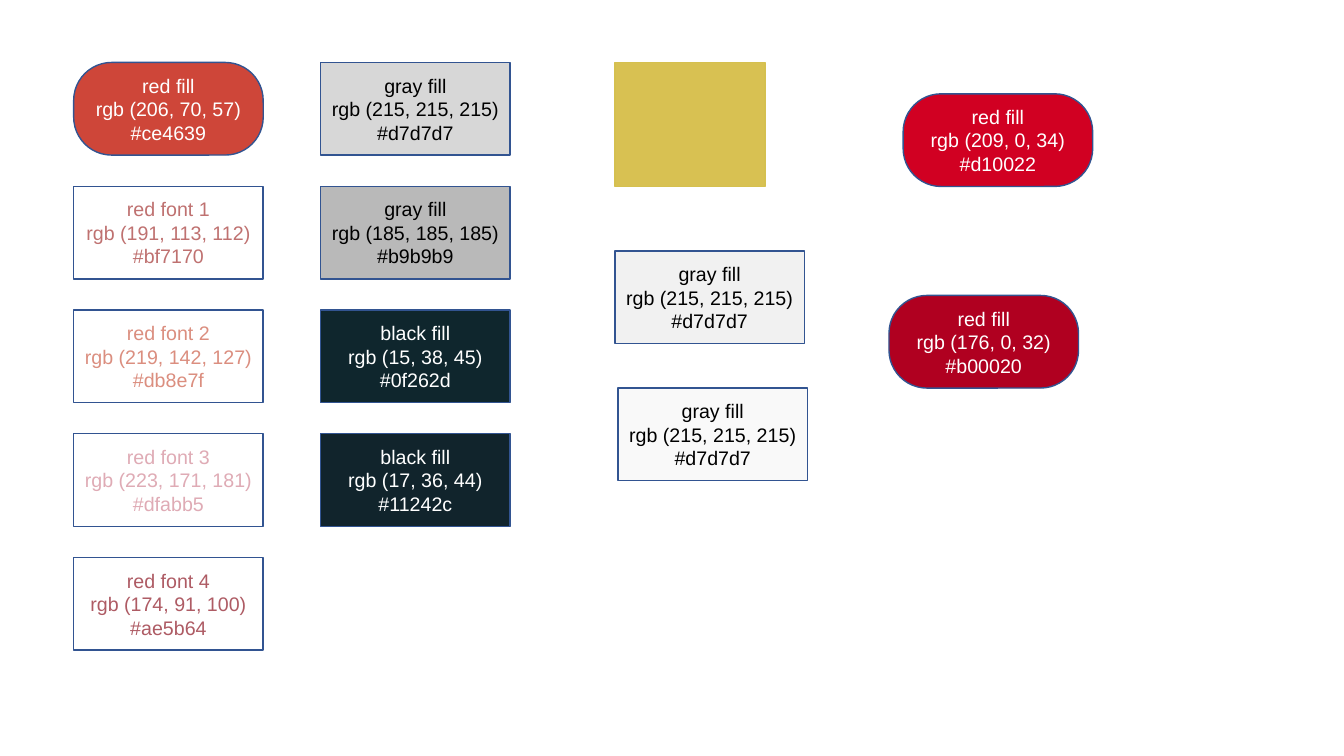
"""Builds a slide of labelled colour swatches."""
from dataclasses import dataclass

from pptx import Presentation
from pptx.dml.color import RGBColor
from pptx.enum import shapes, text
from pptx.util import Pt

COLORS = {
    "white": "FFFFFF",
    "black": "000000",
    "outline": "325491",
    "yellow": "D8C152",
    "yellow outline": "D5C04F",
    "pale gray": "F1F1F1",
    "paler gray": "F9F9F9",
}
WIDTH, HEIGHT = 135.4, 66.2
TOP, PITCH = 44.6, 88.4
RED_LEFT, GRAY_LEFT, YELLOW_LEFT = 52.6, 229, 439.2
LABEL_FONT = {"name": "Arial", "size": Pt(14)}
FRAME = {"word_wrap": True, "vertical_anchor": text.MSO_ANCHOR.MIDDLE}


@dataclass(frozen=True)
class Swatch:
    """A box with its place, colours and label."""
    left: float
    top: float
    fill: str
    ink: str = COLORS["white"]
    name: str = ""
    code: str = ""
    rounded: bool = False
    outline: str = COLORS["outline"]
    width: float = WIDTH
    height: float = HEIGHT

    def label(self) -> str:
        """Return the name, the rgb values and the hex code on three lines."""
        red, green, blue = RGBColor.from_string(self.code.upper())
        return f"{self.name}\nrgb ({red}, {green}, {blue})\n#{self.code}"


def row_top(row: int) -> float:
    """Return the top of a row in the two left columns."""
    return TOP + row * PITCH


def red_fill(left: float, top: float, code: str) -> Swatch:
    """Return a rounded red swatch."""
    return Swatch(left, top, code, name="red fill", code=code, rounded=True)


def red_font(number: int, code: str) -> Swatch:
    """Return a white swatch with a red label."""
    return Swatch(RED_LEFT, row_top(number), COLORS["white"], code,
                  f"red font {number}", code)


def gray_fill(left: float, top: float, code: str, fill: str = "") -> Swatch:
    """Return a gray swatch with a black label."""
    return Swatch(left, top, fill or code, COLORS["black"], "gray fill", code)


def black_fill(row: int, code: str) -> Swatch:
    """Return a dark swatch with a white label."""
    return Swatch(GRAY_LEFT, row_top(row), code, name="black fill", code=code)


SWATCHES = [
    red_fill(RED_LEFT, row_top(0), "ce4639"),
    *(red_font(number, code) for number, code
      in enumerate(("bf7170", "db8e7f", "dfabb5", "ae5b64"), start=1)),
    gray_fill(GRAY_LEFT, row_top(0), "d7d7d7"),
    gray_fill(GRAY_LEFT, row_top(1), "b9b9b9"),
    black_fill(2, "0f262d"),
    black_fill(3, "11242c"),
    Swatch(YELLOW_LEFT, TOP, COLORS["yellow"],
           outline=COLORS["yellow outline"], width=107.3, height=88.6),
    gray_fill(YELLOW_LEFT, 179.3, "d7d7d7", COLORS["pale gray"]),
    gray_fill(441.4, 277.2, "d7d7d7", COLORS["paler gray"]),
    red_fill(645.1, 67, "d10022"),
    red_fill(635, 211, "b00020"),
]


def rgb(code: str) -> RGBColor:
    """Return the colour of a hex string."""
    return RGBColor.from_string(code.upper())


def set_all(target: object, values: dict) -> None:
    """Set each format value on the target."""
    for key, value in values.items():
        setattr(target, key, value)


def write_label(box, swatch: Swatch) -> None:
    """Write the swatch's label, centred, into its box."""
    set_all(box.text_frame, FRAME)
    box.text_frame.text = swatch.label()
    for line in box.text_frame.paragraphs:
        line.alignment = text.PP_ALIGN.CENTER
        for run in line.runs:
            set_all(run.font, LABEL_FONT)
            run.font.color.rgb = rgb(swatch.ink)


def draw_swatch(slide, swatch: Swatch) -> None:
    """Draw one swatch on the slide."""
    kind = shapes.MSO_SHAPE
    box = slide.shapes.add_shape(
        kind.ROUNDED_RECTANGLE if swatch.rounded else kind.RECTANGLE,
        Pt(swatch.left), Pt(swatch.top), Pt(swatch.width), Pt(swatch.height))
    if swatch.rounded:
        box.adjustments[0] = 0.41
    box.shadow.inherit = False
    box.fill.solid()
    box.fill.fore_color.rgb = rgb(swatch.fill)
    box.line.color.rgb = rgb(swatch.outline)
    box.line.width = Pt(1)
    if swatch.code:
        write_label(box, swatch)


def main() -> None:
    """Build and save the slide."""
    deck = Presentation()
    set_all(deck, {"slide_width": Pt(960), "slide_height": Pt(540)})
    slide = deck.slides.add_slide(deck.slide_layouts[6])
    for swatch in SWATCHES:
        draw_swatch(slide, swatch)
    deck.save("out.pptx")


if __name__ == "__main__":
    main()
